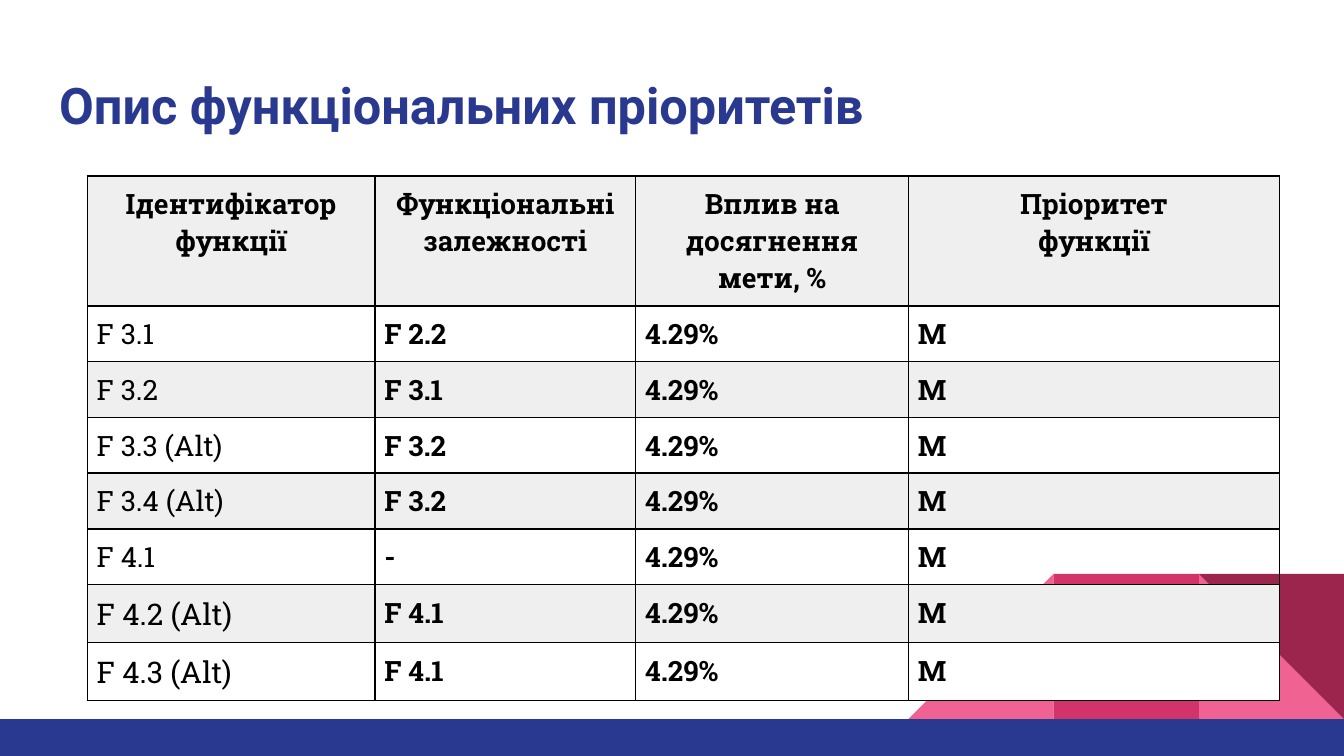
from dataclasses import dataclass

from lxml.etree import SubElement
from pptx import Presentation
from pptx.dml.color import RGBColor as Rgb
from pptx.enum.shapes import MSO_SHAPE as Preset
from pptx.enum.text import MSO_ANCHOR as Anchor, MSO_AUTO_SIZE as AutoSize, PP_ALIGN as Align
from pptx.oxml.ns import qn
from pptx.util import Inches, Pt

COLORS = {
    "navy": "2A3990",
    "pink": "F06292",
    "rose": "D23369",
    "wine": "9C254D",
    "gray": "EFEFEF",
    "white": "FFFFFF",
    "black": "000000",
}


@dataclass
class Decoration:
    preset: Preset
    left: float
    top: float
    width: float
    height: float
    color: str
    rotation: float = 0
    flipped: bool = False


@dataclass
class FunctionRow:
    name: str
    dependency: str
    fill: str | None
    height: float = 0.41
    name_size: int = 15


TILE = 1.08
TILE_TOP = 4.27
DECORATIONS = [
    Decoration(Preset.RIGHT_TRIANGLE, 8.92, TILE_TOP, TILE, TILE, "pink"),
    Decoration(Preset.RIGHT_TRIANGLE, 6.76, TILE_TOP, TILE, TILE, "pink", flipped=True),
    Decoration(Preset.RECTANGLE, 7.84, TILE_TOP, TILE, TILE, "rose"),
    Decoration(Preset.RIGHT_TRIANGLE, 8.92, TILE_TOP, TILE, TILE, "wine", rotation=180),
    Decoration(Preset.RECTANGLE, 0, 5.35, 10, 0.28, "navy"),
]

HEADINGS = [
    "Ідентифікатор\nфункції",
    "Функціональні\nзалежності",
    "Вплив на\nдосягнення\nмети, %",
    "Пріоритет\nфункції",
]
HEADING_HEIGHT = 0.96
COLUMN_WIDTHS = [2.14, 1.94, 2.03, 2.76]
IMPACT, PRIORITY = "4.29%", "M"
ROWS = [
    FunctionRow("F 3.1", "F 2.2", None),
    FunctionRow("F 3.2", "F 3.1", "gray"),
    FunctionRow("F 3.3 (Alt)", "F 3.2", None),
    FunctionRow("F 3.4 (Alt)", "F 3.2", "gray"),
    FunctionRow("F 4.1", "-", None),
    FunctionRow("F 4.2 (Alt)", "F 4.1", "gray", 0.43, 16),
    FunctionRow("F 4.3 (Alt)", "F 4.1", "white", 0.43, 16),
]


def set_all(target, values: dict) -> None:
    for name, value in values.items():
        setattr(target, name, value)


def format_text(frame, font_name: str, size: int, color: str, bold: bool, align: Align) -> None:
    for para in frame.paragraphs:
        para.alignment = align
        for span in para.runs:
            set_all(span.font, {"name": font_name, "size": Pt(size), "bold": bold})
            span.font.color.rgb = Rgb.from_string(COLORS[color])


def draw_decoration(page, item: Decoration) -> None:
    box = page.shapes.add_shape(
        item.preset, Inches(item.left), Inches(item.top), Inches(item.width), Inches(item.height)
    )
    box.shadow.inherit = False
    box.fill.solid()
    box.fill.fore_color.rgb = Rgb.from_string(COLORS[item.color])
    box.line.fill.background()
    box.rotation = item.rotation
    if item.flipped:
        box.element.spPr.xfrm.set("flipH", "1")


def draw_title(page, text: str) -> None:
    title = page.shapes.title
    set_all(title, {"left": Inches(0.34), "top": Inches(0.45),
                    "width": Inches(9.32), "height": Inches(0.66)})
    frame = title.text_frame
    frame.text = text
    set_all(frame, {"word_wrap": True, "auto_size": AutoSize.NONE, "vertical_anchor": Anchor.TOP})
    set_all(frame, {f"margin_{side}": Inches(0.1) for side in ("left", "top", "right", "bottom")})
    format_text(frame, "Roboto", 27, "navy", True, Align.LEFT)


def add_borders(cell) -> None:
    properties = cell._tc.get_or_add_tcPr()
    for tag in ("a:lnL", "a:lnR", "a:lnT", "a:lnB"):
        border = SubElement(properties, qn(tag), w=str(Pt(1)))
        fill = SubElement(border, qn("a:solidFill"))
        SubElement(fill, qn("a:srgbClr"), val=COLORS["black"])


def fill_cell(cell, text: str, fill: str | None, size: int, bold: bool, align: Align) -> None:
    cell.text = text
    set_all(cell, {f"margin_{side}": Inches(0.07) for side in ("left", "top", "right", "bottom")})
    add_borders(cell)
    if fill:
        cell.fill.solid()
        cell.fill.fore_color.rgb = Rgb.from_string(COLORS[fill])
    else:
        cell.fill.background()
    format_text(cell.text_frame, "Roboto Slab", size, "black", bold, align)


def draw_table(page) -> None:
    heights = [HEADING_HEIGHT] + [row.height for row in ROWS]
    table = page.shapes.add_table(
        len(heights), len(COLUMN_WIDTHS), Inches(0.65), Inches(1.31),
        Inches(sum(COLUMN_WIDTHS)), Inches(sum(heights)),
    ).table
    set_all(table, {"first_row": False, "horz_banding": False})
    for column, width in zip(table.columns, COLUMN_WIDTHS):
        column.width = Inches(width)
    for table_row, height in zip(table.rows, heights):
        table_row.height = Inches(height)
    for column, heading in enumerate(HEADINGS):
        fill_cell(table.cell(0, column), heading, "gray", 15, True, Align.CENTER)
    for index, row in enumerate(ROWS, start=1):
        for column, text in enumerate([row.name, row.dependency, IMPACT, PRIORITY]):
            is_name = column == 0
            size = row.name_size if is_name else 15
            fill_cell(table.cell(index, column), text, row.fill, size, not is_name, Align.LEFT)


def main() -> None:
    deck = Presentation()
    set_all(deck, {"slide_width": Inches(10), "slide_height": Inches(10) * 9 // 16})
    page = deck.slides.add_slide(deck.slide_layouts[5])
    for item in DECORATIONS:
        draw_decoration(page, item)
    draw_title(page, "Опис функціональних пріоритетів")
    draw_table(page)
    deck.save("out.pptx")


if __name__ == "__main__":
    main()
